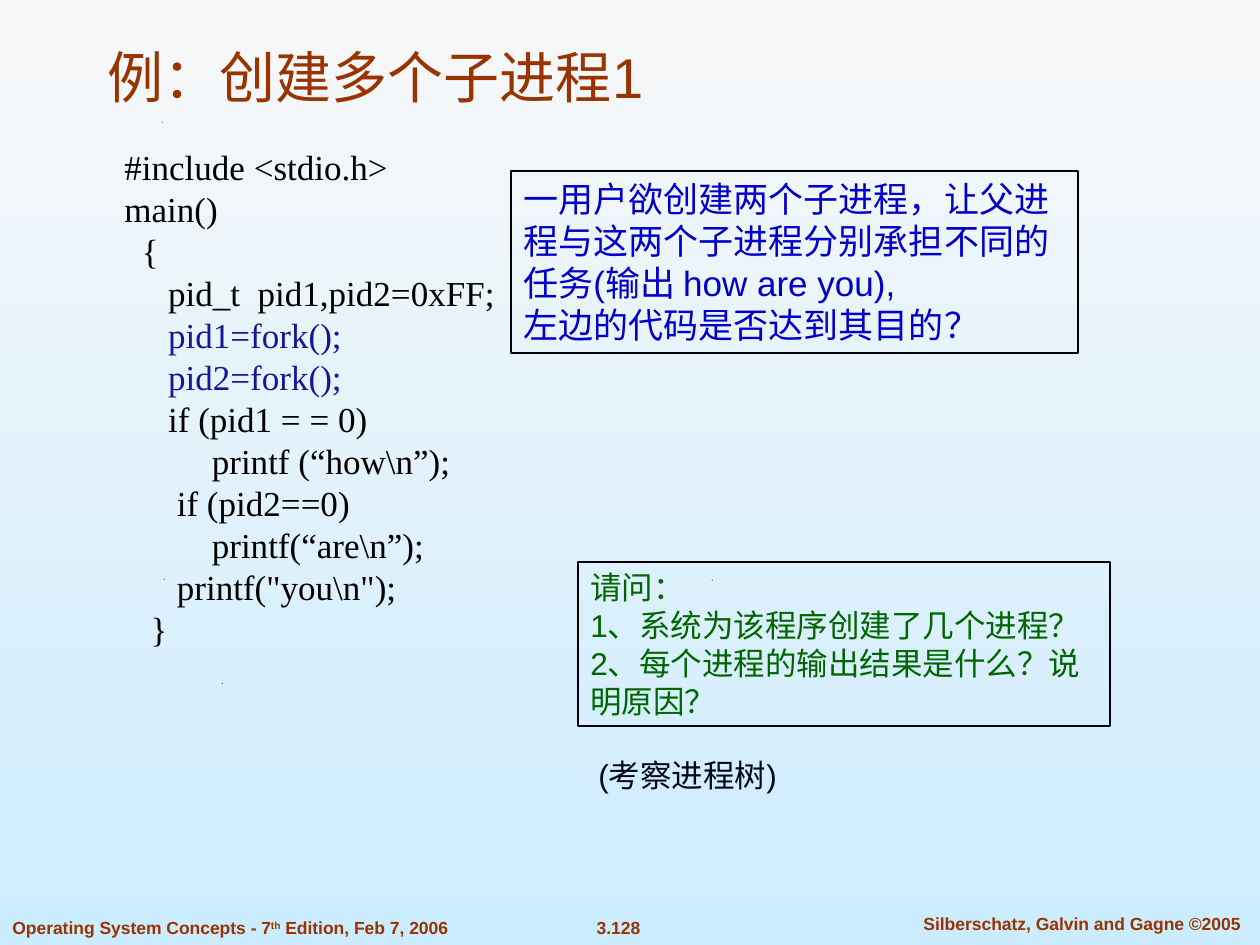
from dataclasses import dataclass
from pptx import Presentation
from pptx.dml.color import RGBColor
from pptx.enum.shapes import MSO_SHAPE
from pptx.enum.text import MSO_ANCHOR, PP_ALIGN
from pptx.util import Pt

LEFT, CENTER = PP_ALIGN.LEFT, PP_ALIGN.CENTER
TOP, BOTTOM = MSO_ANCHOR.TOP, MSO_ANCHOR.BOTTOM
RECT = MSO_SHAPE.RECTANGLE
EMU_PER_PX = 914400 / 126


@dataclass(frozen=True)
class Theme:
    sans: str = "Arial"
    serif: str = "Times New Roman"
    rust: str = "993300"
    black: str = "000000"
    fork: str = "121896"
    task: str = "0000CC"
    question: str = "006600"
    hint: str = "000818"
    sky: tuple = ("F8F8F8", "CCECFF")
    title: int = 32
    large: int = 20
    medium: int = 18
    small: int = 10
    code_pitch: int = 24
    border: float = 0.75


T = Theme()

TITLE = "例：创建多个子进程1"
TITLE_BOX = (95, 32, 1113, 84)
CODE_BOX = (112, 139, 509, 727)
CODE = [
    ("#include <stdio.h>", T.black),
    ("main()", T.black),
    ("  {", T.black),
    ("     pid_t  pid1,pid2=0xFF;", T.black),
    ("     pid1=fork();", T.fork),
    ("     pid2=fork();", T.fork),
    ("     if (pid1 = = 0)", T.black),
    ("          printf (“how\\n”);", T.black),
    ("      if (pid2==0)", T.black),
    ("          printf(“are\\n”);", T.black),
    ("      printf(\"you\\n\");", T.black),
    ("   }", T.black),
]
# box, lines, size, colour, framed
NOTES = [
    ((578, 562, 532, 164),
     ["请问：", "1、系统为该程序创建了几个进程？",
      "2、每个进程的输出结果是什么？说明原因？"],
     T.medium, T.question, True),
    ((511, 171, 567, 182),
     ["一用户欲创建两个子进程，让父进程与这两个子进程分别承担不同的任务(输出 how are you),",
      "左边的代码是否达到其目的？"],
     T.large, T.task, True),
    ((586, 750, 205, 50), ["(考察进程树)"], T.medium, T.hint, False),
]
# box, (text, baseline) runs, alignment
FOOTERS = [
    ((0, 911, 515, 34),
     [("Operating System Concepts - 7", 0), ("th", 30000),
      (" Edition, Feb 7, 2006", 0)], LEFT),
    ((578, 911, 81, 34), [("3.128", 0)], CENTER),
    ((895, 907, 374, 34), [("Silberschatz, Galvin and Gagne ©2005", 0)], CENTER),
]
SPECKS = [(222, 683), (164, 579), (712, 580), (162, 122)]


def px(*values):
    return [round(v * EMU_PER_PX) for v in values]


def rgb(code):
    return RGBColor.from_string(code)


def style(p, size, color, name=T.sans, bold=False, align=LEFT):
    p.alignment = align
    p.font.name, p.font.size, p.font.bold = name, Pt(size), bold
    p.font.color.rgb = rgb(color)


def add_frame(s, box, framed=False):
    """Add a wrapped text box, or an outlined rectangle, and return its text frame."""
    if framed:
        sp = s.shapes.add_shape(RECT, *px(*box))
        sp.shadow.inherit = False
        sp.fill.background()
        sp.line.color.rgb = rgb(T.black)
        sp.line.width = Pt(T.border)
    else:
        sp = s.shapes.add_textbox(*px(*box))
    tf = sp.text_frame
    tf.word_wrap = True
    tf.vertical_anchor = TOP
    return tf


def paragraphs(tf, lines):
    """Write one paragraph for each line and return them."""
    tf.text = "\n".join(lines)
    return tf.paragraphs


def add_background(s):
    fill = s.background.fill
    fill.gradient()
    fill.gradient_angle = 270
    for stop, color, position in zip(fill.gradient_stops, T.sky, (0, 1)):
        stop.color.rgb = rgb(color)
        stop.position = position


def add_footer(s, box, runs, align):
    p = add_frame(s, box).paragraphs[0]
    for text, baseline in runs:
        r = p.add_run()
        r.text = text
        if baseline:
            r.font._element.set("baseline", str(baseline))
    style(p, T.small, T.rust, bold=True, align=align)


def add_speck(s, x, y):
    builder = s.shapes.build_freeform(x, y, scale=EMU_PER_PX)
    builder.add_line_segments([(x + 1, y), (x, y + 1)], close=True)
    sp = builder.convert_to_shape()
    sp.shadow.inherit = False
    sp.fill.solid()
    sp.fill.fore_color.rgb = rgb(T.black)
    sp.line.fill.background()


def main():
    prs = Presentation()
    prs.slide_width, prs.slide_height = px(1260, 945)
    s = prs.slides.add_slide(prs.slide_layouts[5])
    add_background(s)

    for footer in FOOTERS:
        add_footer(s, *footer)
    for x, y in SPECKS:
        add_speck(s, x, y)

    title = s.shapes.title
    title.left, title.top, title.width, title.height = px(*TITLE_BOX)
    title.text_frame.vertical_anchor = BOTTOM
    title.text_frame.text = TITLE
    style(title.text_frame.paragraphs[0], T.title, T.rust)

    code = paragraphs(add_frame(s, CODE_BOX), [text for text, _ in CODE])
    for p, (_, color) in zip(code, CODE):
        p.line_spacing = Pt(T.code_pitch)
        style(p, T.large, color, T.serif)

    for box, lines, size, color, framed in NOTES:
        for p in paragraphs(add_frame(s, box, framed), lines):
            style(p, size, color)

    prs.save("out.pptx")


if __name__ == "__main__":
    main()
